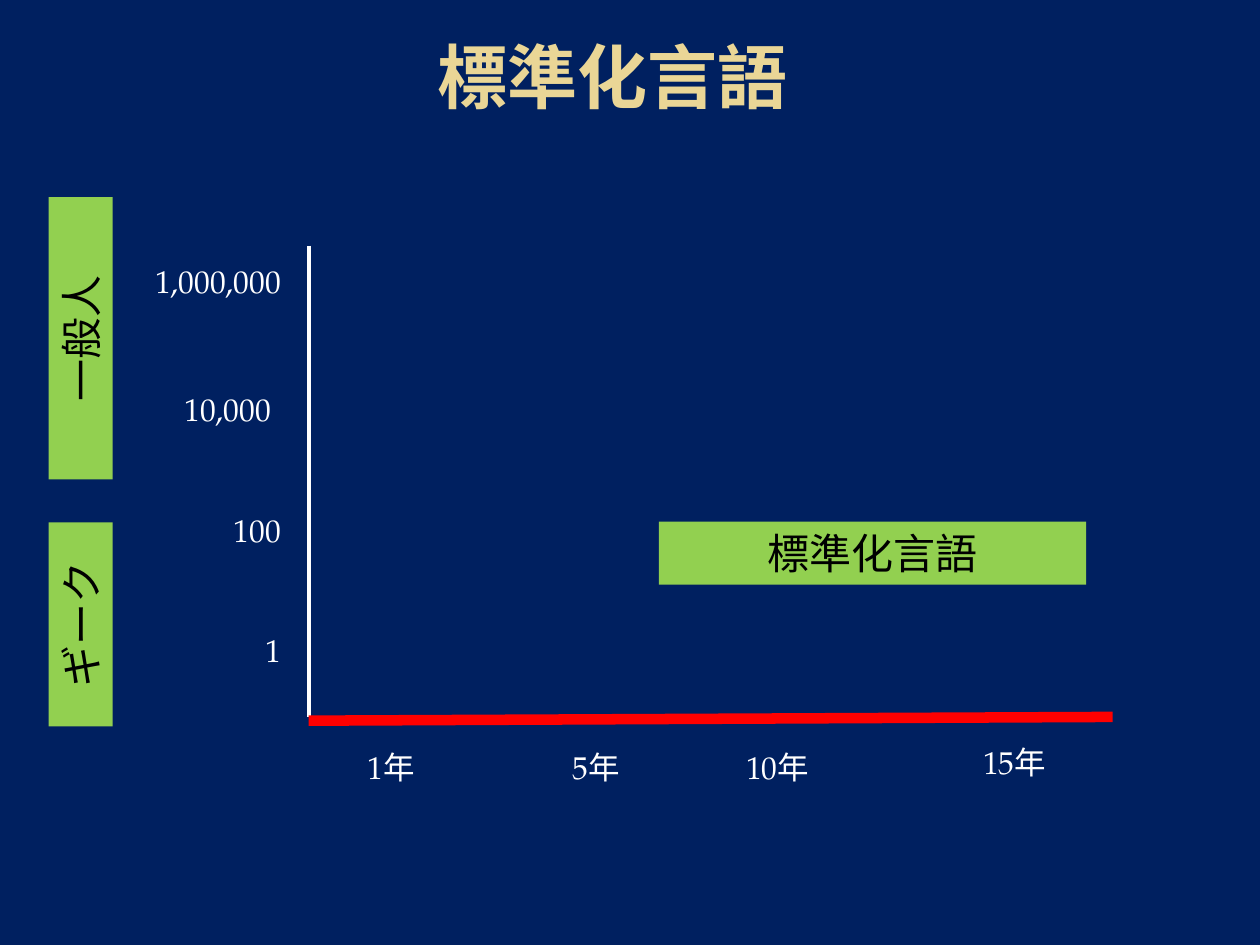
import pptx
import pptx.dml.color
import pptx.enum.shapes
import pptx.enum.text
import pptx.oxml.ns
import pptx.util
from lxml import etree

RGBColor = pptx.dml.color.RGBColor
PP_ALIGN = pptx.enum.text.PP_ALIGN
MSO_ANCHOR = pptx.enum.text.MSO_ANCHOR

NAVY = RGBColor(0x00, 0x20, 0x60)
GOLD = RGBColor(0xEA, 0xD6, 0x96)
GREEN = RGBColor(0x92, 0xD0, 0x50)
RED = RGBColor(0xFF, 0x00, 0x00)
WHITE = RGBColor(0xFF, 0xFF, 0xFF)
BLACK = RGBColor(0x00, 0x00, 0x00)

TITLE_FONT, LABEL_FONT, BAND_FONT = "Comic Neue", "TeX Gyre Pagella", "Arial"
COLUMNS, ROWS = 100, 75


class ChartSlide:
    """Draws on one slide; every length is in columns and rows of the grid."""

    def __init__(self, prs):
        self.cell_w = prs.slide_width / COLUMNS
        self.cell_h = prs.slide_height / ROWS
        self.s = prs.slides.add_slide(prs.slide_layouts[5])
        self.s.background.fill.solid()
        self.s.background.fill.fore_color.rgb = NAVY

    def grid(self, *lengths):
        """Turn alternating columns and rows into slide lengths."""
        cells = (self.cell_w, self.cell_h)
        return [round(n * cells[i % 2]) for i, n in enumerate(lengths)]

    def set_text(self, sp, text, font, size, color, align, anchor, bold=False):
        tf = sp.text_frame
        tf.text = text
        tf.word_wrap = True
        tf.vertical_anchor = anchor
        p = tf.paragraphs[0]
        p.alignment = align
        r = p.runs[0]
        r.font.name, r.font.size, r.font.bold = font, pptx.util.Pt(size), bold
        r.font.color.rgb = color

    def title(self, text, *box):
        sp = self.s.shapes.title
        sp.left, sp.top, sp.width, sp.height = self.grid(*box)
        self.set_text(sp, text, TITLE_FONT, 40, GOLD,
                      PP_ALIGN.CENTER, MSO_ANCHOR.MIDDLE, bold=True)

    def label(self, text, right, top, width, height):
        """Add an axis label that ends at the column `right`."""
        sp = self.s.shapes.add_textbox(*self.grid(right - width, top, width, height))
        self.set_text(sp, text, LABEL_FONT, 18, WHITE, PP_ALIGN.RIGHT, MSO_ANCHOR.TOP)

    def band(self, text, *box, rotation=0):
        sp = self.s.shapes.add_shape(
            pptx.enum.shapes.MSO_SHAPE.RECTANGLE, *self.grid(*box))
        sp.shadow.inherit = False
        sp.rotation = rotation
        sp.fill.solid()
        sp.fill.fore_color.rgb = GREEN
        sp.line.fill.background()
        self.set_text(sp, text, BAND_FONT, 24, BLACK, PP_ALIGN.CENTER, MSO_ANCHOR.MIDDLE)

    def axis(self, color, weight, *ends):
        line = self.s.shapes.add_connector(
            pptx.enum.shapes.MSO_CONNECTOR.STRAIGHT, *self.grid(*ends))
        line.line.color.rgb = color
        line.line.width = pptx.util.Pt(weight)
        etree.SubElement(line._element.spPr, pptx.oxml.ns.qn("a:effectLst"))


def main():
    prs = pptx.Presentation()
    prs.slide_width, prs.slide_height = pptx.util.Inches(10), pptx.util.Inches(7.5)
    slide = ChartSlide(prs)
    slide.title("標準化言語", 5.5, 0, 86.2, 12)

    for years, right, top, width in ((1, 33.9, 58.9, 10), (5, 50.2, 58.9, 10),
                                     (10, 65.2, 58.9, 13.8), (15, 84, 58.5, 13.8)):
        slide.label(f"{years}年", right, top, width, 4)

    for users, right, top, width, height in ((1_000_000, 23.3, 20.3, 20.2, 7.7),
                                             (10_000, 22.5, 30.5, 16.3, 11.4),
                                             (100, 23.3, 40.1, 12.5, 11.4),
                                             (1, 23.3, 49.6, 5, 11.4)):
        slide.label(f"{users:,}", right, top, width, height)

    slide.axis(WHITE, 2.25, 24.5, 19.5, 24.5, 56.9)
    slide.axis(RED, 6, 88.3, 56.9, 24.5, 57.2)

    slide.band("標準化言語", 52.3, 41.4, 33.9, 5)
    slide.band("ギーク", -1.7, 47, 16.2, 5.1, rotation=270)
    slide.band("一般人", -4.8, 24.3, 22.4, 5.1, rotation=270)
    prs.save("out.pptx")


if __name__ == "__main__":
    main()
